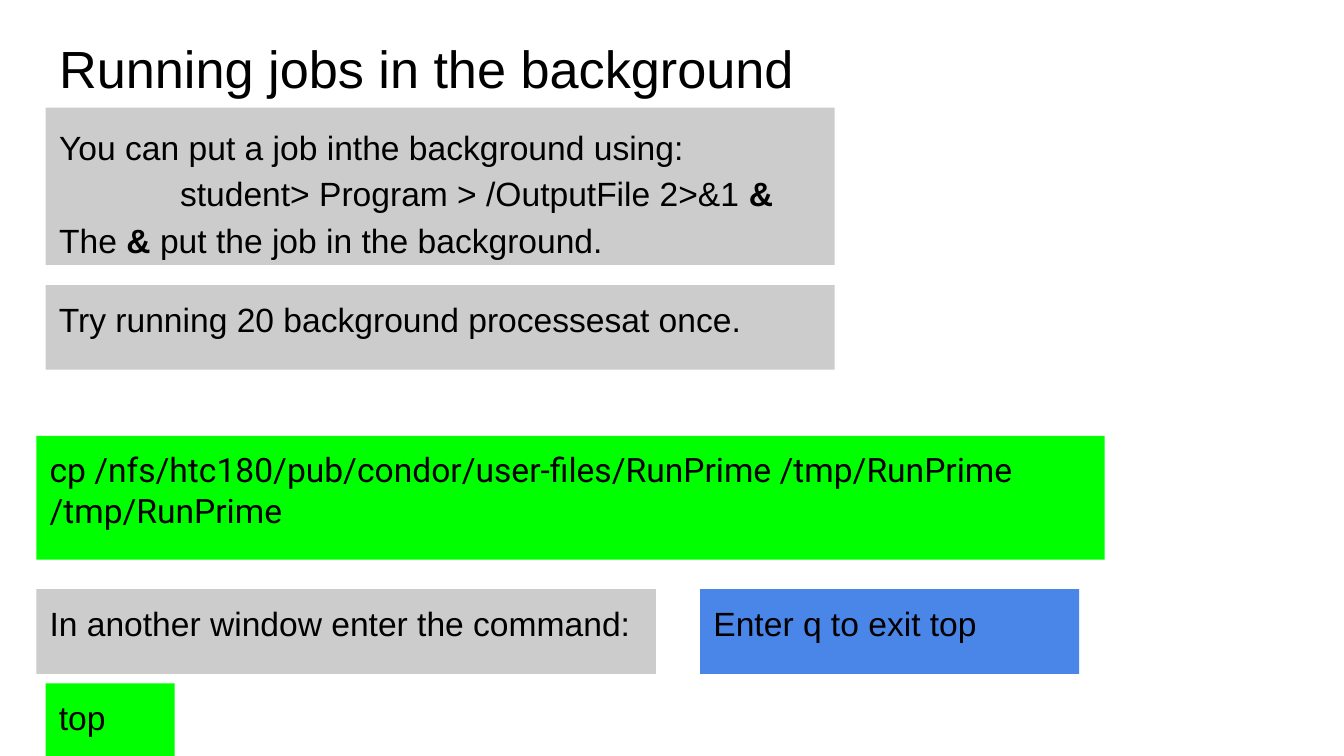
"""Build the slide on running jobs in the background."""
from pptx import Presentation
from pptx.dml.color import RGBColor
from pptx.enum.shapes import MSO_SHAPE
from pptx.enum.text import MSO_ANCHOR, MSO_AUTO_SIZE, PP_ALIGN
from pptx.oxml.xmlchemy import OxmlElement
from pptx.util import Inches, Pt

RECTANGLE = MSO_SHAPE.RECTANGLE
TOP, LEFT, NO_FIT = MSO_ANCHOR.TOP, PP_ALIGN.LEFT, MSO_AUTO_SIZE.NONE

WIDTH = 10
HEIGHT = WIDTH * 9 / 16
GREY, GREEN, BLUE, BLACK = "CCCCCC", "00FF00", "4A86E8", "000000"
COMMAND_INDENT = 0.9

FRAME_FORMAT = {
    "word_wrap": True, "auto_size": NO_FIT, "vertical_anchor": TOP,
    "margin_left": Inches(0.1), "margin_right": Inches(0.1),
    "margin_top": Inches(0.1), "margin_bottom": Inches(0.1),
}
PARAGRAPH_FORMAT = {"alignment": LEFT, "space_before": Pt(0), "space_after": Pt(0)}

# Areas are left, top, width and height in percent of the slide.
TITLE = {"area": (3.4, 3.05, 93.2, 11.2), "size": 28,
         "lines": [[("Running jobs in the background", False)]]}
EXPLANATION = {
    "area": (3.4, 14.23, 58.7, 20.8), "fill": GREY, "spacing": 1.15,
    "indents": (0, COMMAND_INDENT, 0),
    "lines": [
        [("You can put a job inthe background using:", False)],
        [("student> Program > /OutputFile 2>&1 ", False), ("&", True)],
        [("The ", False), ("&", True), (" put the job in the background.", False)],
    ],
}
BOXES = [
    {"area": (2.7, 57.65, 79.5, 16.37), "fill": GREEN, "font": "Roboto",
     "lines": [[("cp /nfs/htc180/pub/condor/user-files/RunPrime /tmp/RunPrime", False)],
               [("/tmp/RunPrime", False)]]},
    {"area": (3.4, 37.72, 58.7, 11.2), "fill": GREY,
     "lines": [[("Try running 20 background processesat once.", False)]]},
    {"area": (2.7, 77.94, 46.1, 11.2), "fill": GREY,
     "lines": [[("In another window enter the command:", False)]]},
    {"area": (3.4, 90.39, 9.6, 9.61), "fill": GREEN, "lines": [[("top", False)]]},
    {"area": (52.1, 77.94, 28.2, 11.2), "fill": BLUE,
     "lines": [[("Enter q to exit top", False)]]},
]


def color(hex_value):
    return RGBColor.from_string(hex_value)


def set_all(target, values):
    for name, value in values.items():
        setattr(target, name, value)


def place(area):
    scales = (WIDTH, HEIGHT, WIDTH, HEIGHT)
    return [Inches(share * scale / 100) for share, scale in zip(area, scales)]


def indent(paragraph, inches):
    properties = paragraph._p.get_or_add_pPr()
    properties.set("marL", str(Inches(inches)))
    properties.set("indent", "0")
    properties.append(OxmlElement("a:buNone"))


def fill_in(shape, part):
    set_all(shape, dict(zip(("left", "top", "width", "height"), place(part["area"]))))
    if "fill" in part:
        shape.fill.solid()
        shape.fill.fore_color.rgb = color(part["fill"])
        shape.line.fill.background()
    frame = shape.text_frame
    set_all(frame, FRAME_FORMAT)
    indents = part.get("indents", [0] * len(part["lines"]))
    for number, (line, inches) in enumerate(zip(part["lines"], indents)):
        paragraph = frame.add_paragraph() if number else frame.paragraphs[0]
        set_all(paragraph, PARAGRAPH_FORMAT)
        paragraph.line_spacing = part.get("spacing", 1.0)
        indent(paragraph, inches)
        for words, bold in line:
            run = paragraph.add_run()
            run.text = words
            set_all(run.font, {"name": part.get("font", "Arial"), "bold": bold,
                               "size": Pt(part.get("size", 18))})
            run.font.color.rgb = color(BLACK)


def main():
    deck = Presentation()
    set_all(deck, {"slide_width": Inches(WIDTH), "slide_height": Inches(HEIGHT)})
    slide = deck.slides.add_slide(deck.slide_layouts[1])
    fill_in(slide.shapes.title, TITLE)
    fill_in(slide.placeholders[1], EXPLANATION)
    for box in BOXES:
        rectangle = slide.shapes.add_shape(RECTANGLE, *place(box["area"]))
        rectangle.shadow.inherit = False
        fill_in(rectangle, box)
    deck.save("out.pptx")


if __name__ == "__main__":
    main()
